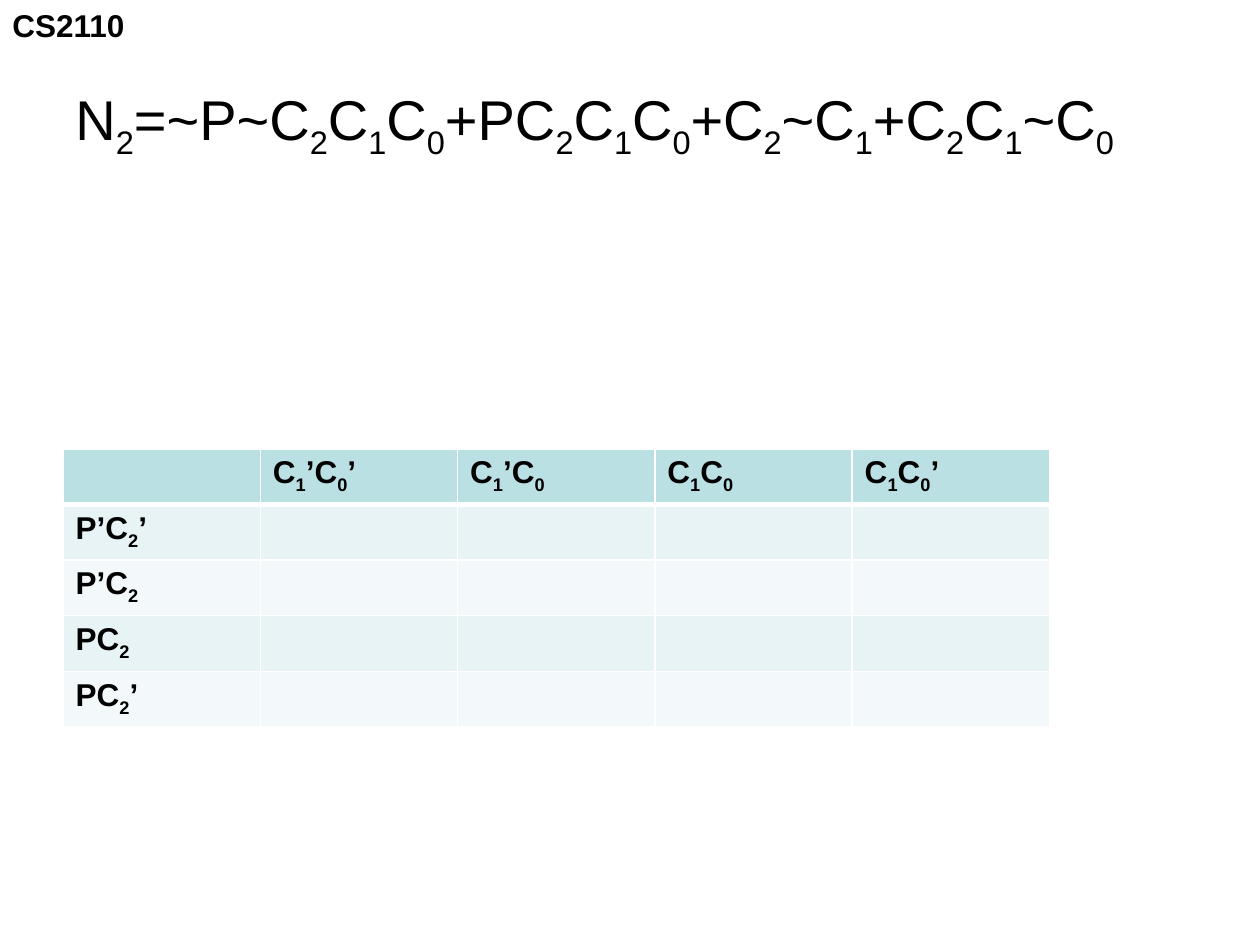
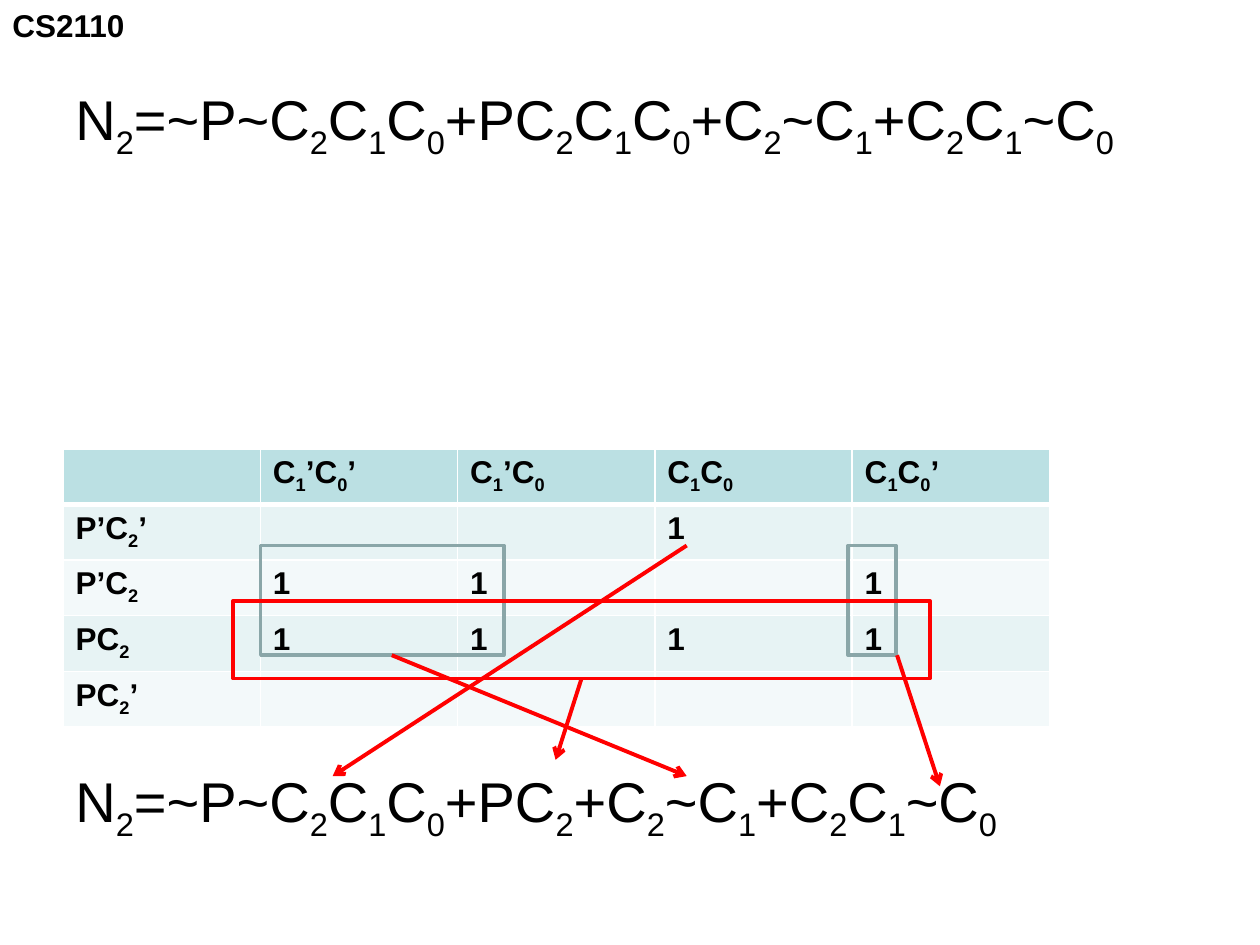
"""Build two slides that simplify N2 with a Karnaugh map."""
from dataclasses import dataclass

from lxml import etree
from pptx import Presentation
from pptx.dml.color import RGBColor
from pptx.enum.shapes import MSO_CONNECTOR, MSO_SHAPE
from pptx.oxml.ns import qn
from pptx.util import Pt

STRAIGHT = MSO_CONNECTOR.STRAIGHT
RECTANGLE = MSO_SHAPE.RECTANGLE
BOTTOM_SIDE = 2
FONT = "Arial"
COLORS = {
    "text": "000000",
    "header": "BBE0E3",
    "odd_row": "E7F3F4",
    "even_row": "F3F9FA",
    "border": "FFFFFF",
    "pair_group": "8AA6A8",
    "accent": "FF0000",
}

COURSE = "CS2110"
FULL_SUM = "N_2=~P~C_2C_1C_0+PC_2C_1C_0+C_2~C_1+C_2C_1~C_0"
REDUCED_SUM = "N_2=~P~C_2C_1C_0+PC_2+C_2~C_1+C_2C_1~C_0"
COLUMN_TERMS = ["", "C_1’C_0’", "C_1’C_0", "C_1C_0", "C_1C_0’"]
ROW_TERMS = ["P’C_2’", "P’C_2", "PC_2", "PC_2’"]
EMPTY_MAP = ["    "] * 4
FILLED_MAP = ["  1 ", "11 1", "1111", "    "]
COLUMN_WIDTH, ROW_HEIGHT = 112.75, 29.25


@dataclass(frozen=True)
class Box:
    left: float
    top: float
    width: float
    height: float

    def points(self) -> tuple:
        return Pt(self.left), Pt(self.top), Pt(self.width), Pt(self.height)


@dataclass(frozen=True)
class Group:
    box: Box
    color: str


@dataclass(frozen=True)
class Arrow:
    start: tuple[float, float]
    end: tuple[float, float]


COURSE_BOX = Box(0, 0, 79, 29)
FULL_SUM_BOX = Box(36, 44.64, 648, 149.76)
REDUCED_SUM_BOX = Box(36, 434.2, 562.3, 85)
MAP_BOX = Box(36, 256.5, 5 * COLUMN_WIDTH, 5 * ROW_HEIGHT)
PAIR_GROUPS = [
    Group(Box(149, 311.75, 139, 62.6), "pair_group"),
    Group(Box(484.6, 311.75, 27.4, 62.6), "pair_group"),
]
ROW_GROUP = Group(Box(133.2, 343.4, 398.2, 44.4), "accent")
ROW_ARROW = Arrow((332.3, 387.8), (317.5, 434.2))
TERM_ARROWS = [
    Arrow((512.6, 374.4), (537.1, 449.3)),
    Arrow((392.4, 311.75), (190.1, 443.5)),
    Arrow((223.9, 374.4), (392.4, 443.5)),
]


def rgb(color: str) -> RGBColor:
    """Return the named colour."""
    return RGBColor.from_string(COLORS[color])


def write_term(text_frame, term: str, size: float, bold: bool = False) -> None:
    """Write a term in which each underscore lowers the next character."""
    paragraph = text_frame.paragraphs[0]
    first, *rest = term.split("_")
    pieces = [(first, False)]
    for part in rest:
        pieces += [(part[0], True), (part[1:], False)]
    for text, lowered in pieces:
        if not text:
            continue
        run = paragraph.add_run()
        run.text = text
        run.font.name = FONT
        run.font.size = Pt(size)
        run.font.bold = bold
        run.font.color.rgb = rgb("text")
        if lowered:
            run.font._element.set("baseline", "-25000")


def add_text(slide, box: Box, term: str, size: float, bold: bool = False, wrap: bool = True) -> None:
    """Add a text box holding one term."""
    text_frame = slide.shapes.add_textbox(*box.points()).text_frame
    text_frame.word_wrap = wrap
    write_term(text_frame, term, size, bold)


def set_borders(cell, top: float, bottom: float) -> None:
    """Draw white borders around a cell."""
    properties = cell._tc.get_or_add_tcPr()
    widths = {"lnL": 1, "lnR": 1, "lnT": top, "lnB": bottom}
    for position, (side, width) in enumerate(widths.items()):
        line = etree.Element(qn(f"a:{side}"), w=str(Pt(width)))
        fill = etree.SubElement(line, qn("a:solidFill"))
        etree.SubElement(fill, qn("a:srgbClr"), val=COLORS["border"])
        properties.insert(position, line)


def add_map(slide, marks: list[str]) -> None:
    """Add the Karnaugh map with its marks."""
    rows = [COLUMN_TERMS] + [[term, *line] for term, line in zip(ROW_TERMS, marks)]
    table = slide.shapes.add_table(len(rows), len(COLUMN_TERMS), *MAP_BOX.points()).table
    table.horz_banding = False
    for column in table.columns:
        column.width = Pt(COLUMN_WIDTH)
    for r, terms in enumerate(rows):
        table.rows[r].height = Pt(ROW_HEIGHT)
        color = "header" if r == 0 else "odd_row" if r % 2 else "even_row"
        for c, term in enumerate(terms):
            cell = table.cell(r, c)
            cell.fill.solid()
            cell.fill.fore_color.rgb = rgb(color)
            set_borders(cell, top=3 if r == 1 else 1, bottom=3 if r == 0 else 1)
            write_term(cell.text_frame, term.strip(), 18, bold=True)


def add_group(slide, group: Group):
    """Outline a group of marks and return the outline."""
    outline = slide.shapes.add_shape(RECTANGLE, *group.box.points())
    outline.shadow.inherit = False
    outline.fill.background()
    outline.line.color.rgb = rgb(group.color)
    outline.line.width = Pt(2)
    return outline


def add_arrow(slide, arrow: Arrow):
    """Add a red arrow and return it."""
    ends = [Pt(value) for value in (*arrow.start, *arrow.end)]
    connector = slide.shapes.add_connector(STRAIGHT, *ends)
    connector.line.color.rgb = rgb("accent")
    connector.line.width = Pt(2.25)
    etree.SubElement(connector.line._get_or_add_ln(), qn("a:tailEnd"), type="arrow")
    etree.SubElement(connector._element.spPr, qn("a:effectLst"))
    return connector


def add_map_slide(deck, marks: list[str]):
    """Add a slide with the course label, the full sum and the map."""
    slide = deck.slides.add_slide(deck.slide_layouts[6])
    add_text(slide, COURSE_BOX, COURSE, 18, bold=True, wrap=False)
    add_text(slide, FULL_SUM_BOX, FULL_SUM, 32)
    add_map(slide, marks)
    return slide


def add_solution(slide) -> None:
    """Add the groups, the reduced sum and the arrows between them."""
    for group in PAIR_GROUPS:
        add_group(slide, group)
    row_outline = add_group(slide, ROW_GROUP)
    add_text(slide, REDUCED_SUM_BOX, REDUCED_SUM, 32)
    add_arrow(slide, ROW_ARROW).begin_connect(row_outline, BOTTOM_SIDE)
    for arrow in TERM_ARROWS:
        add_arrow(slide, arrow)


def main() -> None:
    """Build and save the deck."""
    deck = Presentation()
    deck.slide_width, deck.slide_height = Pt(720), Pt(540)
    add_map_slide(deck, EMPTY_MAP)
    add_solution(add_map_slide(deck, FILLED_MAP))
    deck.save("out.pptx")


if __name__ == "__main__":
    main()
